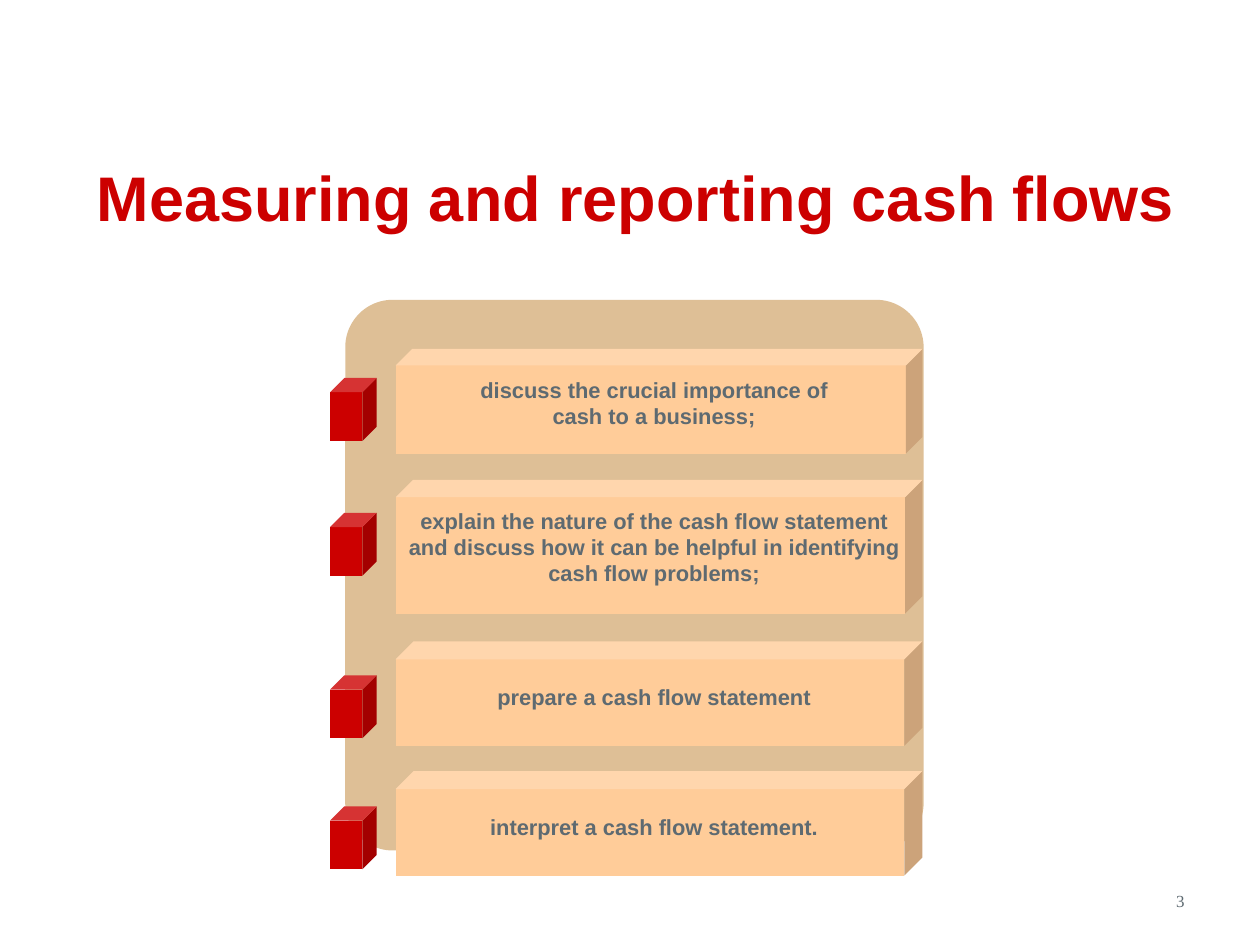
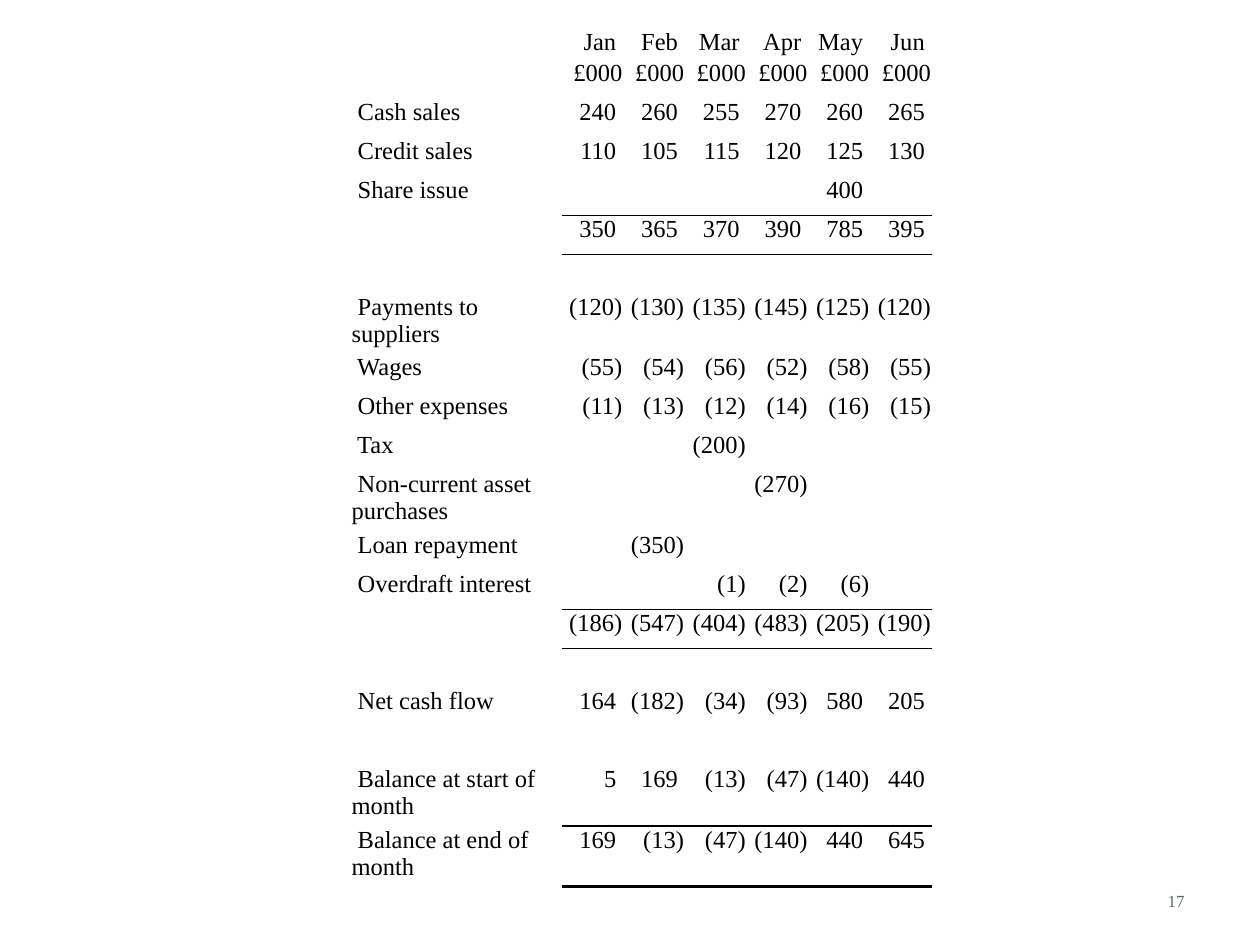
from collections import namedtuple
from dataclasses import dataclass

from lxml import etree
from pptx import Presentation
from pptx.dml.color import RGBColor
from pptx.enum import shapes, text
from pptx.oxml.ns import qn
from pptx.util import Inches, Pt

Box = namedtuple("Box", "left top width height")
Objective = namedtuple(
    "Objective",
    "wording block_top block_height bevel marker_top label_top label_width label_height",
)


@dataclass(frozen=True)
class Theme:
    red: str = "CC0000"
    panel: str = "DEBF96"
    block: str = "FFCC99"
    grey: str = "5E6A71"
    black: str = "000000"
    sans: str = "Arial"
    serif: str = "Times New Roman"
    title_size: float = 36
    label_size: float = 12.5
    table_size: float = 14
    number_size: float = 9.7


THEME = Theme()
PLAIN_TABLE_STYLE = "{2D5ABB26-0587-4C30-8999-92F81FD0307C}"
NUMBER_BOX = Box(7.17, 6.95, 2.33, 0.4)
TITLE_BOX = Box(0.67, 1.39, 8.83, 1.09)
PANEL_BOX = Box(2.74, 2.38, 4.59, 4.37)
TABLE_BOX = Box(2.78, 0.23, 4.62, 7.13)

OBJECTIVES = [
    Objective("discuss the crucial importance of cash to a business;",
              0.39, 0.83, 0.158, 0.62, 0.56, 3.14, 0.57),
    Objective("explain the nature of the cash flow statement and discuss how it can be "
              "helpful in identifying cash flow problems;",
              1.43, 1.06, 0.129, 1.69, 1.6, 4.09, 0.8),
    Objective("prepare a cash flow statement",
              2.71, 0.83, 0.172, 2.98, 3.0, 4.07, 0.31),
    Objective("interpret a cash flow statement.",
              3.74, 0.83, 0.172, 4.02, 4.03, 4.01, 0.34),
]

CASH_ROWS = [
    ["", "Jan", "Feb", "Mar", "Apr", "May", "Jun"],
    [""] + ["£000"] * 6,
    ["Cash sales", 240, 260, 255, 270, 260, 265],
    ["Credit sales", 110, 105, 115, 120, 125, 130],
    ["Share issue", "", "", "", "", 400, ""],
    ["", 350, 365, 370, 390, 785, 395],
    [""] * 7,
    ["Payments to suppliers", -120, -130, -135, -145, -125, -120],
    ["Wages", -55, -54, -56, -52, -58, -55],
    ["Other expenses", -11, -13, -12, -14, -16, -15],
    ["Tax", "", "", -200, "", "", ""],
    ["Non-current asset purchases", "", "", "", -270, "", ""],
    ["Loan repayment", "", -350, "", "", "", ""],
    ["Overdraft interest", "", "", -1, -2, -6, ""],
    ["", -186, -547, -404, -483, -205, -190],
    [""] * 7,
    ["Net cash flow", 164, -182, -34, -93, 580, 205],
    [""] * 7,
    ["Balance at start of month", 5, 169, -13, -47, -140, 440],
    ["Balance at end of month", 169, -13, -47, -140, 440, 645],
    [""] * 7,
]
LABEL_COLUMN_WIDTH = 1.68
ROW_HEIGHT = 0.31
SPECIAL_HEIGHTS = {0: 0.24, 7: 0.48, 11: 0.48, 18: 0.48, 19: 0.48, 20: 0.32}
RULES_BELOW = {4: 1, 13: 1, 18: 1, 19: 2.25}


def inches(box):
    return [Inches(length) for length in box]


def format_paragraph(paragraph, font_name, size, color, bold=False, alignment=None):
    paragraph.alignment = alignment
    for run in paragraph.runs:
        run.font.name = font_name
        run.font.size = Pt(size)
        run.font.bold = bold
        run.font.color.rgb = RGBColor.from_string(color)


def add_text(slide, box, wording, anchor, side_margin=0.1, **style):
    shape = slide.shapes.add_textbox(*inches(box))
    frame = shape.text_frame
    frame.word_wrap = True
    frame.vertical_anchor = anchor
    frame.margin_left = frame.margin_right = Inches(side_margin)
    frame.text = wording
    format_paragraph(frame.paragraphs[0], **style)
    return frame


def add_solid(slide, kind, box, color, adjustment):
    shape = slide.shapes.add_shape(kind, *inches(box))
    shape.shadow.inherit = False
    shape.adjustments[0] = adjustment
    shape.fill.solid()
    shape.fill.fore_color.rgb = RGBColor.from_string(color)
    shape.line.fill.background()


def add_page_number(slide, number):
    add_text(slide, NUMBER_BOX, str(number), text.MSO_ANCHOR.MIDDLE,
             font_name=THEME.serif, size=THEME.number_size, color=THEME.grey,
             alignment=text.PP_ALIGN.RIGHT)


def add_title(slide, box, wording):
    frame = add_text(slide, box, wording, text.MSO_ANCHOR.BOTTOM,
                     font_name=THEME.sans, size=THEME.title_size,
                     color=THEME.red, bold=True)
    frame.margin_top = 0
    frame.margin_bottom = Inches(0.65)


def add_objectives(slide, box, objectives):
    add_solid(slide, shapes.MSO_SHAPE.ROUNDED_RECTANGLE, box, THEME.panel, 0.086)
    label_center = box.left + 2.45
    for item in objectives:
        block = Box(box.left + 0.4, box.top + item.block_top, 4.18, item.block_height)
        marker = Box(box.left - 0.12, box.top + item.marker_top, 0.37, 0.5)
        label = Box(label_center - item.label_width / 2, box.top + item.label_top,
                    item.label_width, item.label_height)
        add_solid(slide, shapes.MSO_SHAPE.CUBE, block, THEME.block, item.bevel)
        add_solid(slide, shapes.MSO_SHAPE.CUBE, marker, THEME.red, 0.307)
        add_text(slide, label, item.wording, text.MSO_ANCHOR.TOP, side_margin=0.08,
                 font_name=THEME.sans, size=THEME.label_size, color=THEME.grey,
                 bold=True, alignment=text.PP_ALIGN.CENTER)


def cell_wording(value, is_label):
    if value == "":
        return ""
    if is_label:
        return f" {value}"
    if isinstance(value, str):
        return f" {value} "
    return f"({-value})" if value < 0 else f"{value} "


def add_border(cell, side, width):
    properties = cell._tc.get_or_add_tcPr()
    line = etree.SubElement(properties, qn(f"a:{side}"), w=str(Pt(width)))
    fill = etree.SubElement(line, qn("a:solidFill"))
    etree.SubElement(fill, qn("a:srgbClr"), val=THEME.black)


def fill_cell(cell, value, is_label):
    cell.margin_left = cell.margin_right = Inches(0.01)
    cell.margin_top = cell.margin_bottom = 0
    cell.text_frame.text = cell_wording(value, is_label)
    paragraph = cell.text_frame.paragraphs[0]
    alignment = text.PP_ALIGN.LEFT if is_label else text.PP_ALIGN.RIGHT
    format_paragraph(paragraph, THEME.serif, THEME.table_size, THEME.black,
                     alignment=alignment)
    if value == "":
        etree.SubElement(paragraph._p, qn("a:endParaRPr"), sz=str(THEME.table_size * 100))


def add_cash_table(slide, box, rows):
    column_count = len(rows[0])
    table = slide.shapes.add_table(len(rows), column_count, *inches(box)).table
    table.first_row = table.horz_banding = False
    table._tbl.tblPr.find(qn("a:tableStyleId")).text = PLAIN_TABLE_STYLE
    month_width = (box.width - LABEL_COLUMN_WIDTH) / (column_count - 1)
    for index, column in enumerate(table.columns):
        column.width = Inches(month_width if index else LABEL_COLUMN_WIDTH)
    for row_index, values in enumerate(rows):
        table.rows[row_index].height = Inches(SPECIAL_HEIGHTS.get(row_index, ROW_HEIGHT))
        for column_index, value in enumerate(values):
            cell = table.cell(row_index, column_index)
            is_label = column_index == 0
            fill_cell(cell, value, is_label)
            if not is_label:
                if row_index - 1 in RULES_BELOW:
                    add_border(cell, "lnT", RULES_BELOW[row_index - 1])
                if row_index in RULES_BELOW:
                    add_border(cell, "lnB", RULES_BELOW[row_index])
            cell.fill.background()


def build_objectives_slide(slide):
    add_title(slide, TITLE_BOX, "Measuring and reporting cash flows")
    add_objectives(slide, PANEL_BOX, OBJECTIVES)
    add_page_number(slide, 3)


def build_cash_slide(slide):
    add_cash_table(slide, TABLE_BOX, CASH_ROWS)
    add_page_number(slide, 17)


def main():
    presentation = Presentation()
    presentation.slide_width = Inches(10)
    presentation.slide_height = Inches(7.5)
    blank_layout = presentation.slide_layouts[6]
    for build in (build_objectives_slide, build_cash_slide):
        build(presentation.slides.add_slide(blank_layout))
    presentation.save("out.pptx")


if __name__ == "__main__":
    main()
